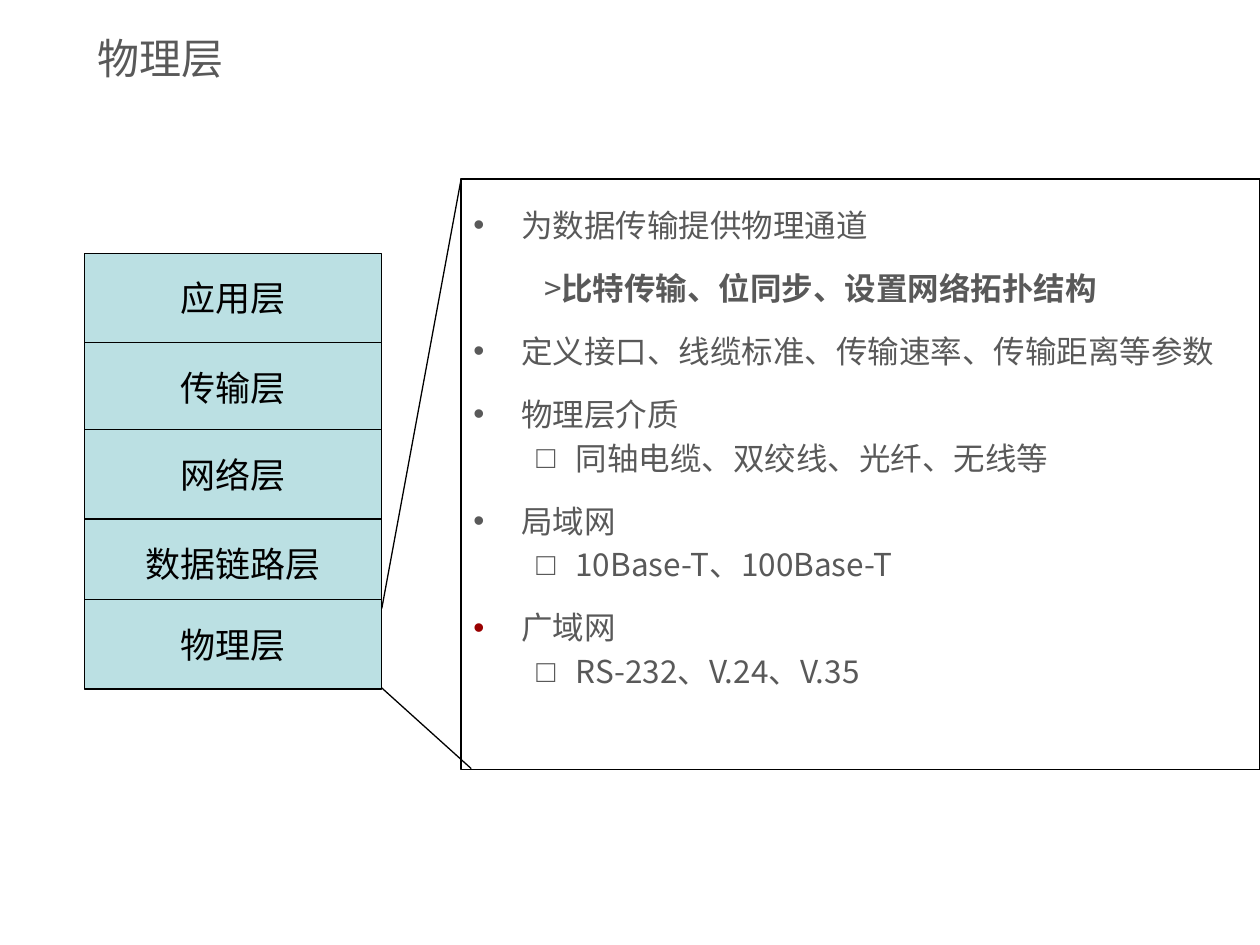
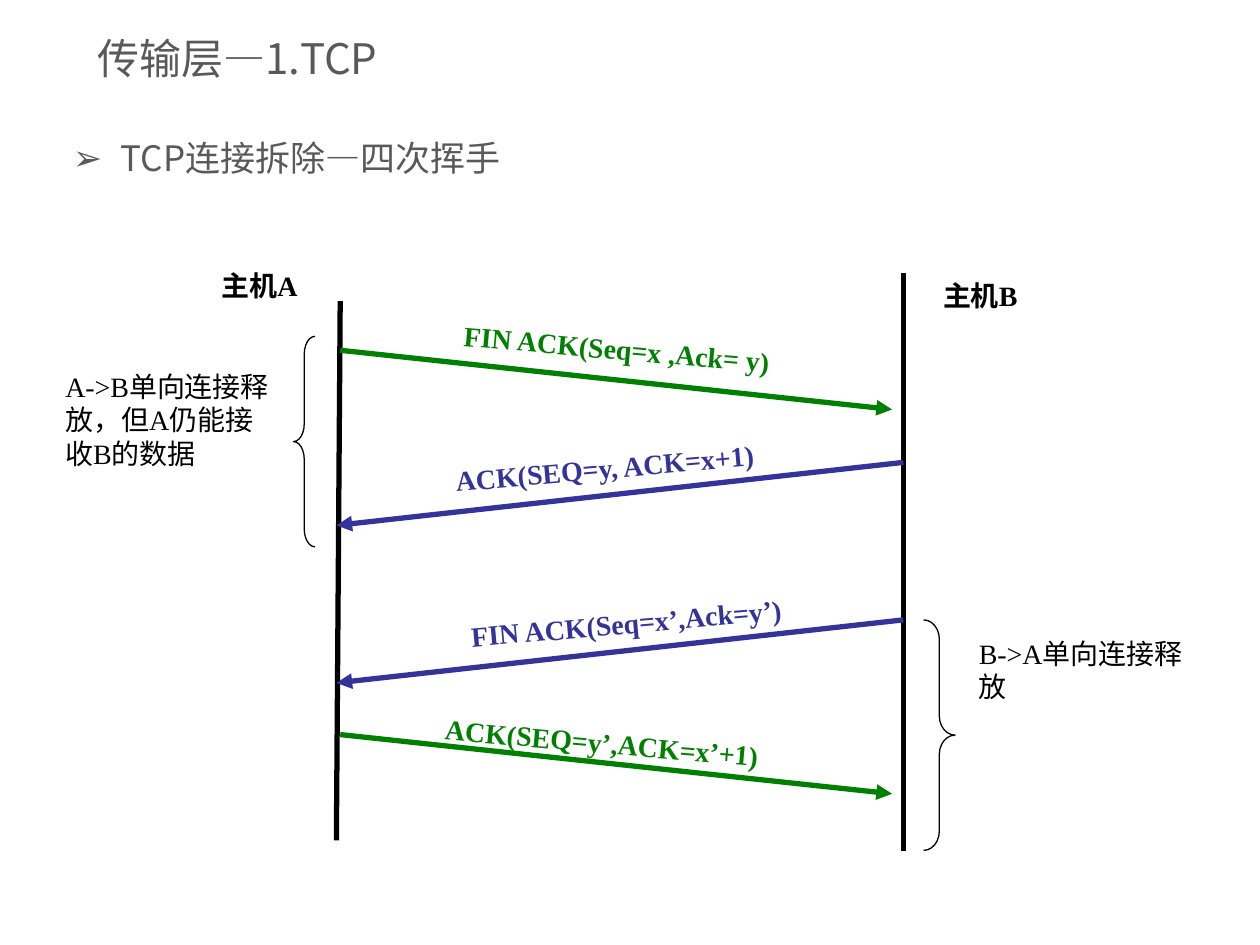
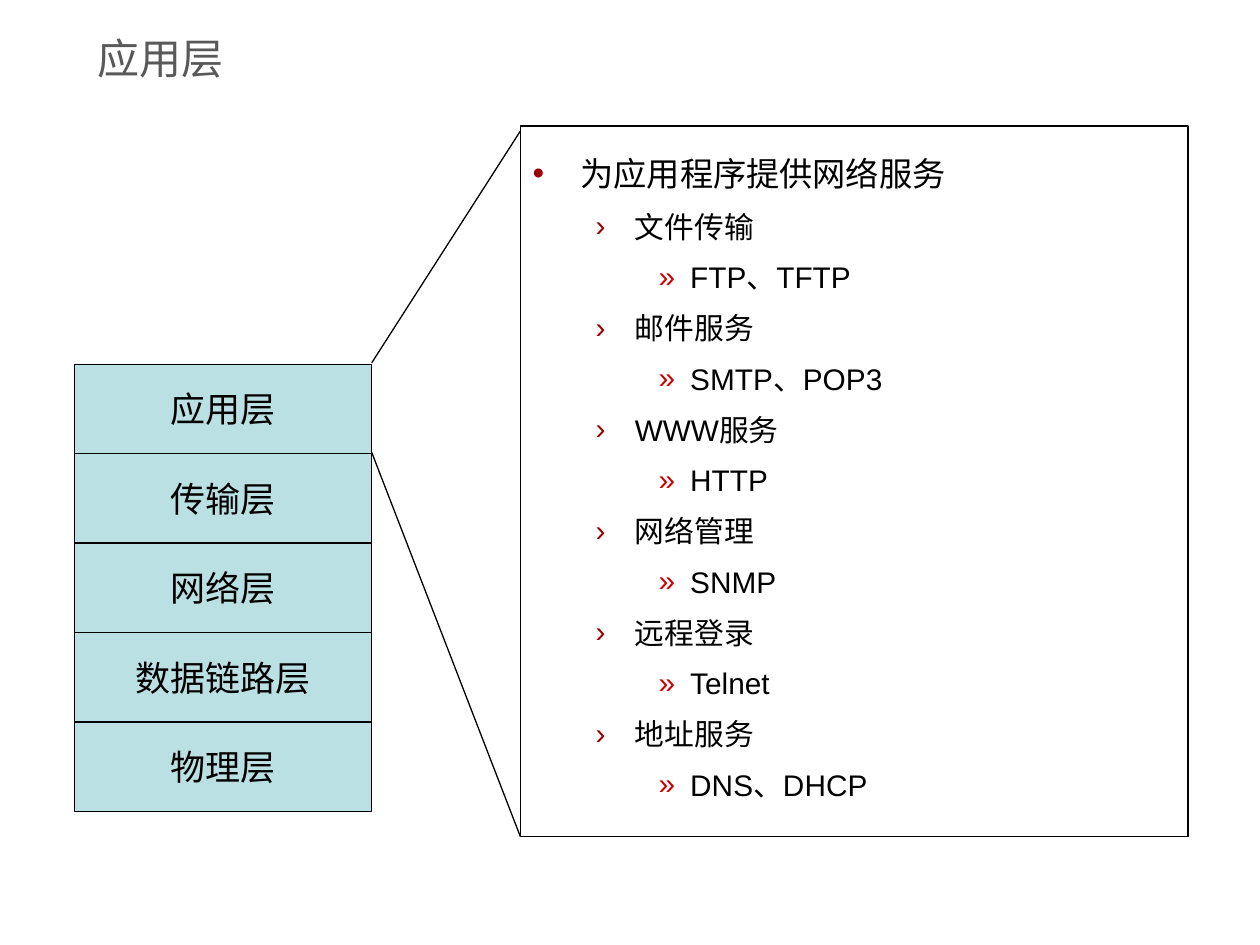
from lxml.etree import SubElement
from pptx import Presentation
from pptx.dml.color import RGBColor
from pptx.enum.shapes import MSO_CONNECTOR, MSO_SHAPE
from pptx.enum.text import MSO_ANCHOR, MSO_AUTO_SIZE, PP_ALIGN
from pptx.oxml.ns import qn
from pptx.util import Inches, Pt

SANS = "Noto Sans CJK SC"
SERIF = "Times New Roman"
ARIAL = "Arial"
BLACK = "000000"
GRAY = "595959"
LAYER_BLUE = "BBE0E3"
GREEN = "008000"
INDIGO = "333399"
DARK_RED = "990000"
RED = "CC0000"

LAYERS = ["应用层", "传输层", "网络层", "数据链路层", "物理层"]
LAYER_WIDTH = 2.36
LAYER_HEIGHT = 0.71

TOPIC = dict(margin=0.38, hanging=0.38, bullet="•", size=18, line=32, font=SANS, color=GRAY)
RED_TOPIC = dict(TOPIC, bullet_color=DARK_RED)
REMARK = dict(TOPIC, margin=0.56, hanging=0, bullet=None)
DETAIL = dict(TOPIC, margin=0.81, hanging=0.31, bullet="□", line=21)
TCP_TOPIC = dict(TOPIC, bullet="➢", size=20, line=21)
SERVICE_HEAD = dict(RED_TOPIC, size=19, line=35, font=ARIAL, color=BLACK)
SERVICE = dict(SERVICE_HEAD, margin=0.81, hanging=0.31, bullet="›", size=17, line=25)
PROTOCOL = dict(SERVICE, margin=1.25, hanging=0.25, bullet="»", bullet_color=RED)

PHYSICAL_POINTS = [
    (TOPIC, "为数据传输提供物理通道"),
    (REMARK, ">", "比特传输、位同步、设置网络拓扑结构"),
    (TOPIC, "定义接口、线缆标准、传输速率、传输距离等参数"),
    (TOPIC, "物理层介质"),
    (DETAIL, "同轴电缆、双绞线、光纤、无线等"),
    (TOPIC, "局域网"),
    (DETAIL, "10Base-T、100Base-T"),
    (RED_TOPIC, "广域网"),
    (DETAIL, "RS-232、V.24、V.35"),
]

SERVICES = [
    ("文件传输", "FTP、TFTP"),
    ("邮件服务", "SMTP、POP3"),
    ("WWW服务", "HTTP"),
    ("网络管理", "SNMP"),
    ("远程登录", "Telnet"),
    ("地址服务", "DNS、DHCP"),
]


def rgb(color):
    return RGBColor.from_string(color)


def set_font(paragraph, name, size, color, bold=False):
    font = paragraph.font
    font.name = name
    font.size = Pt(size)
    font.bold = bold
    font.color.rgb = rgb(color)


def add_titled_slide(presentation, text):
    slide = presentation.slides.add_slide(presentation.slide_layouts[5])
    title = slide.shapes.title
    title.left, title.top = Inches(0.67), Inches(0.17)
    title.width, title.height = Inches(8.67), Inches(0.58)
    frame = title.text_frame
    frame.text = text
    frame.auto_size = MSO_AUTO_SIZE.NONE
    frame.vertical_anchor = MSO_ANCHOR.MIDDLE
    paragraph = frame.paragraphs[0]
    paragraph.alignment = PP_ALIGN.LEFT
    set_font(paragraph, SANS, 24, GRAY)
    return slide


def add_outlined_shape(slide, kind, left, top, width, height, fill=None):
    shape = slide.shapes.add_shape(
        kind, Inches(left), Inches(top), Inches(width), Inches(height))
    shape.shadow.inherit = False
    if fill:
        shape.fill.solid()
        shape.fill.fore_color.rgb = rgb(fill)
    else:
        shape.fill.background()
    shape.line.color.rgb = rgb(BLACK)
    shape.line.width = Pt(0.75)
    return shape


def add_layer_stack(slide, left, tops):
    for name, top in zip(LAYERS, tops):
        layer = add_outlined_shape(
            slide, MSO_SHAPE.RECTANGLE, left, top, LAYER_WIDTH, LAYER_HEIGHT, LAYER_BLUE)
        frame = layer.text_frame
        frame.text = name
        frame.word_wrap = False
        frame.vertical_anchor = MSO_ANCHOR.MIDDLE
        paragraph = frame.paragraphs[0]
        paragraph.alignment = PP_ALIGN.CENTER
        set_font(paragraph, SERIF, 20, BLACK)


def set_bullet(paragraph, style):
    properties = paragraph._p.get_or_add_pPr()
    properties.set("marL", str(Inches(style["margin"])))
    properties.set("indent", str(-Inches(style["hanging"])))
    if not style["bullet"]:
        SubElement(properties, qn("a:buNone"))
        return
    if "bullet_color" in style:
        color = SubElement(properties, qn("a:buClr"))
        SubElement(color, qn("a:srgbClr"), val=style["bullet_color"])
    SubElement(properties, qn("a:buFont"), typeface=ARIAL)
    SubElement(properties, qn("a:buChar"), char=style["bullet"])


def fill_outline(frame, points):
    frame.word_wrap = True
    frame.vertical_anchor = MSO_ANCHOR.TOP
    for index, (style, text, *emphasis) in enumerate(points):
        paragraph = frame.add_paragraph() if index else frame.paragraphs[0]
        set_bullet(paragraph, style)
        paragraph.alignment = PP_ALIGN.LEFT
        paragraph.line_spacing = Pt(style["line"])
        paragraph.space_before = Pt(4 if index else 0)
        set_font(paragraph, style["font"], style["size"], style["color"])
        paragraph.add_run().text = text
        for bold_text in emphasis:
            run = paragraph.add_run()
            run.text = bold_text
            run.font.bold = True


def add_text_box(slide, left, top, width, height):
    box = slide.shapes.add_textbox(Inches(left), Inches(top), Inches(width), Inches(height))
    box.text_frame.word_wrap = True
    return box


def add_label(slide, text, left, top, width, height=0.37, color=BLACK,
              bold=True, alignment=PP_ALIGN.CENTER, rotation=0):
    box = add_text_box(slide, left, top, width, height)
    box.rotation = rotation
    box.text_frame.text = text
    paragraph = box.text_frame.paragraphs[0]
    paragraph.alignment = alignment
    set_font(paragraph, SERIF, 16, color, bold)


def add_line(slide, start, end, color=BLACK, width=0.75, arrow=False):
    line = slide.shapes.add_connector(
        MSO_CONNECTOR.STRAIGHT, *(Inches(value) for value in (*start, *end)))
    line.line.color.rgb = rgb(color)
    line.line.width = Pt(width)
    if arrow:
        SubElement(line.line._get_or_add_ln(), qn("a:tailEnd"), type="triangle")
    SubElement(line._element.spPr, qn("a:effectLst"))


def add_brace(slide, kind, left, top, width, height, curve):
    brace = add_outlined_shape(slide, kind, left, top, width, height)
    brace.adjustments[0] = curve
    brace.adjustments[1] = 0.5


def build_physical_layer(presentation):
    slide = add_titled_slide(presentation, "物理层")
    add_layer_stack(slide, 0.67, [2.01, 2.72, 3.41, 4.12, 4.76])
    panel = add_outlined_shape(slide, MSO_SHAPE.RECTANGLE, 3.66, 1.42, 6.34, 4.69)
    fill_outline(panel.text_frame, PHYSICAL_POINTS)
    panel.text_frame.margin_top = Inches(0.07)
    add_line(slide, (3.66, 1.42), (3.03, 4.83))
    add_line(slide, (3.74, 6.1), (3.03, 5.46))


def build_tcp_close(presentation):
    slide = add_titled_slide(presentation, "传输层—1.TCP")
    topic = add_text_box(slide, 0.48, 1.08, 9.33, 0.5)
    fill_outline(topic.text_frame, [(TCP_TOPIC, "TCP连接拆除—四次挥手")])

    add_line(slide, (2.7, 2.39), (2.67, 6.67), width=3)
    add_line(slide, (7.17, 2.17), (7.17, 6.75), width=3)
    add_label(slide, "主机A", 1.42, 2.08, 1.28)
    add_label(slide, "主机B", 7.14, 2.16, 1.28)

    for top in (2.78, 5.83):
        add_line(slide, (2.7, top), (7.08, top + 0.47), GREEN, 3, arrow=True)
    for top in (3.67, 4.92):
        add_line(slide, (7.17, top), (2.67, top + 0.5), INDIGO, 3, arrow=True)

    for text, left, top, width in [
        ("FIN ACK(Seq=x ,Ack= y)", 3.58, 2.59, 2.78),
        ("ACK(SEQ=y’,ACK=x’+1)", 3.43, 5.74, 3.42),
    ]:
        add_label(slide, text, left, top, width, color=GREEN,
                  alignment=PP_ALIGN.LEFT, rotation=5)
    for text, left, top in [
        ("ACK(SEQ=y, ACK=x+1)", 3.03, 3.53),
        ("FIN ACK(Seq=x’,Ack=y’)", 3.2, 4.76),
    ]:
        add_label(slide, text, left, top, 3.54, color=INDIGO, rotation=355)

    add_brace(slide, MSO_SHAPE.LEFT_BRACE, 2.33, 2.67, 0.17, 1.67, 0.83)
    add_brace(slide, MSO_SHAPE.RIGHT_BRACE, 7.33, 4.92, 0.25, 1.83, 0.61)
    for text, left, top, height in [
        ("A->B单向连接释放，但A仍能接收B的数据", 0.42, 2.88, 0.91),
        ("B->A单向连接释放", 7.67, 5, 0.64),
    ]:
        add_label(slide, text, left, top, 1.83, height, bold=False, alignment=PP_ALIGN.LEFT)


def build_application_layer(presentation):
    slide = add_titled_slide(presentation, "应用层")
    add_layer_stack(slide, 0.59, [2.89 + LAYER_HEIGHT * row for row in range(len(LAYERS))])
    panel = add_outlined_shape(slide, MSO_SHAPE.RECTANGLE, 4.13, 1, 5.3, 5.64)
    points = [(SERVICE_HEAD, "为应用程序提供网络服务")]
    for service, protocols in SERVICES:
        points += [(SERVICE, service), (PROTOCOL, protocols)]
    fill_outline(panel.text_frame, points)
    add_line(slide, (2.95, 2.88), (4.13, 1.04))
    add_line(slide, (2.95, 3.59), (4.13, 6.64))


def main():
    presentation = Presentation()
    presentation.slide_width = Inches(10)
    presentation.slide_height = Inches(7.5)
    build_physical_layer(presentation)
    build_tcp_close(presentation)
    build_application_layer(presentation)
    presentation.save("out.pptx")


if __name__ == "__main__":
    main()
